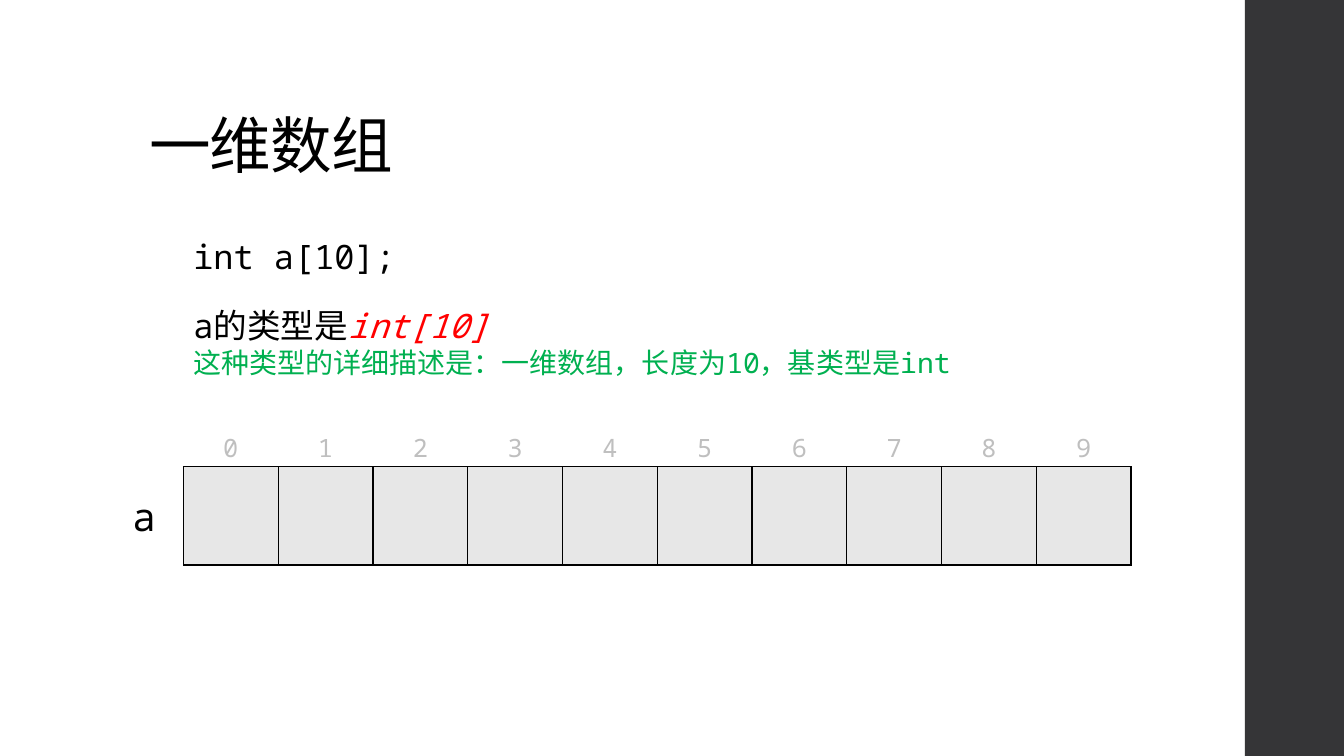
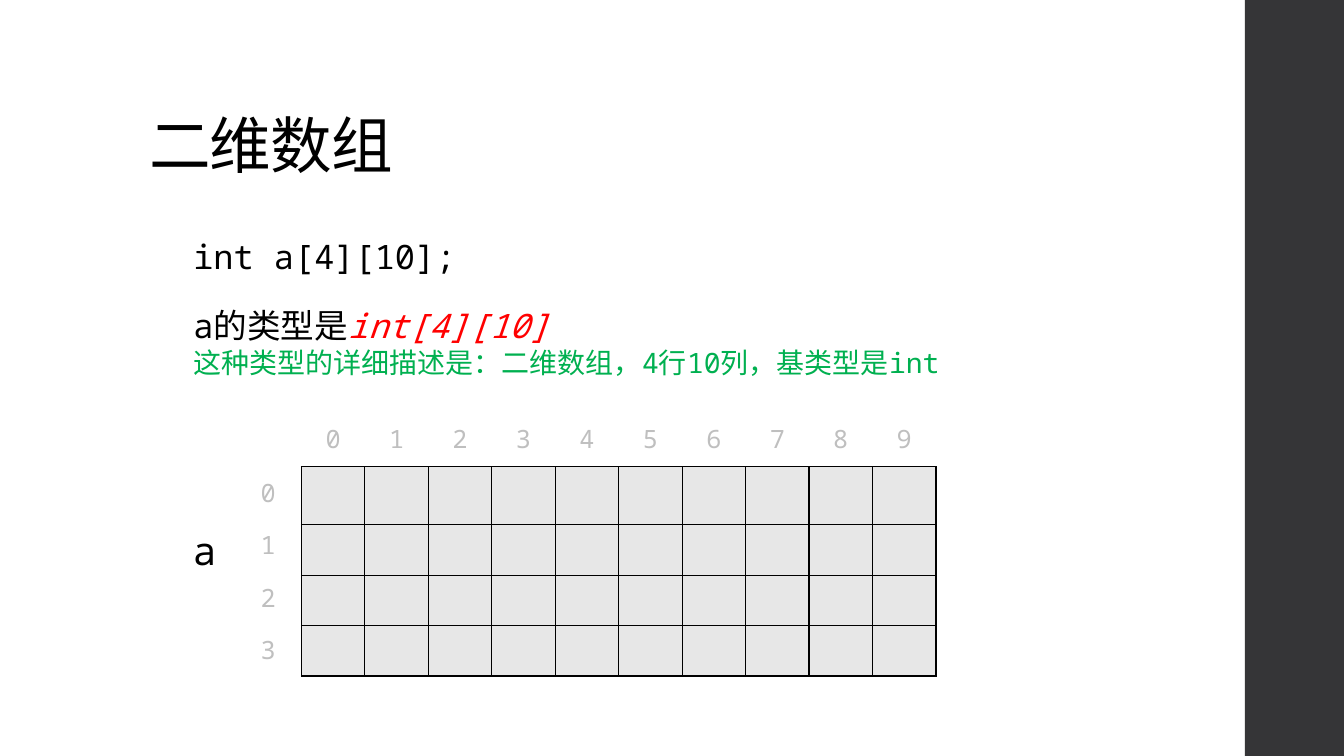
from lxml.etree import SubElement
from pptx import Presentation
from pptx.dml.color import RGBColor
from pptx.enum.shapes import MSO_SHAPE
from pptx.enum.text import MSO_ANCHOR, PP_ALIGN
from pptx.oxml.ns import qn
from pptx.util import Pt

# Content
COLORS = {
    "text": "000000",
    "type": "FF0000",
    "note": "00B050",
    "index": "BFBFBF",
    "cell": "E7E7E7",
    "band": "353537",
}
TITLE_FONT = "TeX Gyre Schola"
CODE_FONT = "Noto Sans Mono"
COLUMN_COUNT = 10
GRID_TOP = 333.4

# Positions and sizes are in points
SLIDES = [
    {
        "title": "一维数组",
        "declaration": "int a[10];",
        "type": "int[10]",
        "note": "这种类型的详细描述是：一维数组，长度为10，基类型是int",
        "name_position": (82.1, 347.8),
        "grid_left": 131,
        "column_width": 67.7,
        "row_heights": [70.2],
        "column_index_top": 303.8,
        "row_index": False,
    },
    {
        "title": "二维数组",
        "declaration": "int a[4][10];",
        "type": "int[4][10]",
        "note": "这种类型的详细描述是：二维数组，4行10列，基类型是int",
        "name_position": (125.3, 372.2),
        "grid_left": 215.3,
        "column_width": 45.35,
        "row_heights": [41.5, 36, 36, 36],
        "column_index_top": 297.4,
        "row_index": True,
    },
]


def color(name):
    return RGBColor.from_string(COLORS[name])


def style(font, size, color_name, name=CODE_FONT):
    font.name = name
    font.size = Pt(size)
    font.color.rgb = color(color_name)


def add_text(slide, position, lines, alignment=PP_ALIGN.LEFT):
    """Each line is (size, [(text, color name, italic), ...])."""
    box = slide.shapes.add_textbox(*map(Pt, position))
    frame = box.text_frame
    frame.word_wrap = True
    for number, (size, runs) in enumerate(lines):
        paragraph = frame.paragraphs[0] if number == 0 else frame.add_paragraph()
        paragraph.alignment = alignment
        for text, color_name, italic in runs:
            run = paragraph.add_run()
            run.text = text
            style(run.font, size, color_name)
            run.font.italic = italic


def add_title(slide, text):
    box = slide.shapes.add_textbox(Pt(99.4), Pt(28.8), Pt(763.2), Pt(104.4))
    frame = box.text_frame
    frame.word_wrap = True
    frame.vertical_anchor = MSO_ANCHOR.BOTTOM
    paragraph = frame.paragraphs[0]
    paragraph.line_spacing = 0.9
    run = paragraph.add_run()
    run.text = text
    style(run.font, 44, "text", TITLE_FONT)
    run.font._element.set("spc", "-50")


def add_band(slide):
    band = slide.shapes.add_shape(MSO_SHAPE.RECTANGLE, Pt(889.2), 0, Pt(72), Pt(540))
    band.shadow.inherit = False
    band.fill.solid()
    band.fill.fore_color.rgb = color("band")
    band.line.fill.background()


def set_borders(cell, color_name):
    properties = cell._tc.get_or_add_tcPr()
    for position, side in enumerate(("lnL", "lnR", "lnT", "lnB")):
        line = SubElement(properties, qn(f"a:{side}"), w=str(Pt(1)))
        properties.insert(position, line)
        if color_name:
            fill = SubElement(line, qn("a:solidFill"))
            SubElement(fill, qn("a:srgbClr"), val=COLORS[color_name])
        else:
            SubElement(line, qn("a:noFill"))


def add_cells(slide, left, top, widths, heights):
    frame = slide.shapes.add_table(
        len(heights), len(widths), Pt(left), Pt(top), Pt(sum(widths)), Pt(sum(heights))
    )
    table = frame.table
    table.first_row = False
    table.horz_banding = False
    for column, width in zip(table.columns, widths):
        column.width = Pt(width)
    for row, height in zip(table.rows, heights):
        row.height = Pt(height)
    return list(table.iter_cells())


def add_grid(slide, left, widths, heights):
    for cell in add_cells(slide, left, GRID_TOP, widths, heights):
        cell.fill.solid()
        cell.fill.fore_color.rgb = color("cell")
        set_borders(cell, "text")


def add_index(slide, left, top, widths, heights, anchor):
    for number, cell in enumerate(add_cells(slide, left, top, widths, heights)):
        cell.text = str(number)
        cell.vertical_anchor = anchor
        cell.fill.background()
        set_borders(cell, None)
        paragraph = cell.text_frame.paragraphs[0]
        paragraph.alignment = PP_ALIGN.CENTER
        style(paragraph.font, 18, "index")


presentation = Presentation()
presentation.slide_width = Pt(960)
presentation.slide_height = Pt(540)

for content in SLIDES:
    slide = presentation.slides.add_slide(presentation.slide_layouts[6])
    add_band(slide)
    add_title(slide, content["title"])

    # Declaration and its type
    add_text(slide, (131, 164.9, 268.6, 36), [(24, [(content["declaration"], "text", False)])])
    add_text(slide, (131, 214.6, 671.8, 60.5), [
        (24, [("a的类型是", "text", False), (content["type"], "type", True)]),
        (20, [(content["note"], "note", False)]),
    ])

    # Array cells with their name and indices
    left, heights = content["grid_left"], content["row_heights"]
    widths = [content["column_width"]] * COLUMN_COUNT
    add_text(slide, (*content["name_position"], 41.8, 41),
             [(28, [("a", "text", False)])], PP_ALIGN.CENTER)
    add_index(slide, left, content["column_index_top"], widths, [31.7], MSO_ANCHOR.TOP)
    add_grid(slide, left, widths, heights)
    if content["row_index"]:
        even_heights = [sum(heights) / len(heights)] * len(heights)
        add_index(slide, 171.4, GRID_TOP, [40.3], even_heights, MSO_ANCHOR.MIDDLE)

presentation.save("out.pptx")
